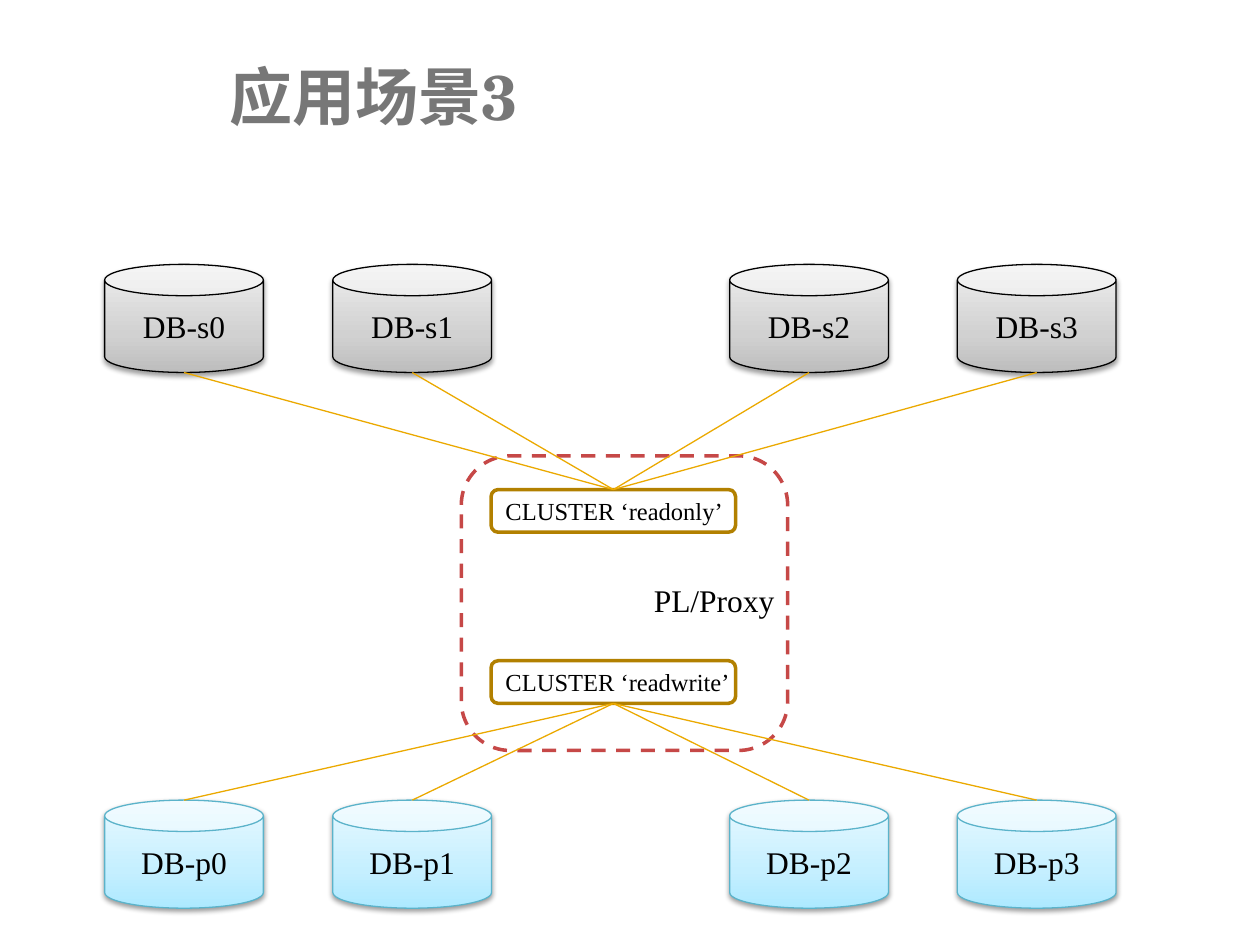
from dataclasses import dataclass

from lxml import etree
from pptx import Presentation
from pptx.dml.color import RGBColor
from pptx.enum.dml import MSO_LINE
from pptx.enum.shapes import MSO_CONNECTOR, MSO_SHAPE
from pptx.enum.text import MSO_ANCHOR, PP_ALIGN
from pptx.oxml import parse_xml
from pptx.oxml.ns import nsdecls, qn
from pptx.util import Cm, Pt

CAN = MSO_SHAPE.CAN
ROUND = MSO_SHAPE.ROUNDED_RECTANGLE
STRAIGHT = MSO_CONNECTOR.STRAIGHT
DASH = MSO_LINE.DASH
MIDDLE = MSO_ANCHOR.MIDDLE
TOP = MSO_ANCHOR.TOP
LEFT = PP_ALIGN.LEFT
CENTER = PP_ALIGN.CENTER


@dataclass(frozen=True)
class Theme:
    head: str = "TeX Gyre Schola"
    body: str = "Times New Roman"
    title: float = 36
    label: float = 18
    small: float = 14
    thin: float = 0.75
    thick: float = 2
    gray: str = "777777"
    ink: str = "000000"
    white: str = "FFFFFF"
    red: str = "C64847"
    gold: str = "B28000"
    link: str = "EBA900"
    teal: str = "5BB3CA"
    blues: tuple[str, ...] = ("ADE9FF", "C5EFFF", "E9F9FF")
    grays: tuple[str, ...] = ("BDBDBD", "D1D1D1", "EEEEEE")


@dataclass(frozen=True)
class Box:
    x: float
    y: float
    w: float
    h: float

    @property
    def mid(self) -> float:
        return self.x + self.w / 2

    @property
    def base(self) -> float:
        return self.y + self.h

    def place(self) -> tuple:
        return Cm(self.x), Cm(self.y), Cm(self.w), Cm(self.h)


@dataclass(frozen=True)
class Row:
    name: str
    y: float
    tones: tuple[str, ...]
    edge: str
    hub: Box
    above: bool


THEME = Theme()
CAN_W, CAN_H = 3.2, 2.18
CAN_XS = (2.11, 6.71, 14.71, 19.3)
READ = Box(9.9, 9.87, 4.93, 0.86)
WRITE = Box(9.9, 13.32, 4.93, 0.86)
ROWS = (
    Row("DB-s", 5.33, THEME.grays, THEME.ink, READ, True),
    Row("DB-p", 16.13, THEME.blues, THEME.teal, WRITE, False),
)


def write(shape, text: str, size: float, align=LEFT, anchor=MIDDLE,
          face: str = THEME.body, color: str = THEME.ink,
          bold: bool = False, wrap: bool = True) -> None:
    frame = shape.text_frame
    frame.word_wrap = wrap
    frame.vertical_anchor = anchor
    para = frame.paragraphs[0]
    para.text = text
    para.alignment = align
    font = para.font
    font.name, font.size, font.bold = face, Pt(size), bold
    font.color.rgb = RGBColor.from_string(color)


def stroke(line, color: str, width: float) -> None:
    line.color.rgb = RGBColor.from_string(color)
    line.width = Pt(width)


def panel(slide, kind, box: Box, color: str, width: float):
    shape = slide.shapes.add_shape(kind, *box.place())
    shape.shadow.inherit = False
    shape.fill.background()
    stroke(shape.line, color, width)
    return shape


def shade(shape, tones: tuple[str, ...]) -> None:
    stops = "".join(
        f'<a:gs pos="{pos}"><a:srgbClr val="{tone}"/></a:gs>'
        for pos, tone in zip((0, 35000, 100000), tones))
    props = shape._element.spPr
    blank = props.find(qn("a:noFill"))
    props.replace(blank, parse_xml(
        f'<a:gradFill {nsdecls("a")} rotWithShape="1"><a:gsLst>{stops}</a:gsLst>'
        '<a:lin ang="16200000" scaled="0"/></a:gradFill>'))
    props.find(qn("a:effectLst")).append(parse_xml(
        f'<a:outerShdw {nsdecls("a")} blurRad="{Pt(3.1)}" dist="{Pt(1.6)}" '
        f'dir="5400000" rotWithShape="0"><a:srgbClr val="{THEME.ink}">'
        '<a:alpha val="38000"/></a:srgbClr></a:outerShdw>'))


def draw_can(slide, row: Row, box: Box, text: str) -> None:
    can = panel(slide, CAN, box, row.edge, THEME.thin)
    can.adjustments[0] = 0.29
    shade(can, row.tones)
    write(can, text, THEME.label, CENTER)


def draw_hub(slide, box: Box, text: str) -> None:
    hub = panel(slide, ROUND, box, THEME.gold, THEME.thick)
    hub.text_frame.margin_right = 0
    write(hub, text, THEME.small)


def draw_link(slide, upper: Box, lower: Box) -> None:
    link = slide.shapes.add_connector(
        STRAIGHT, Cm(upper.mid), Cm(upper.base), Cm(lower.mid), Cm(lower.y))
    stroke(link.line, THEME.link, THEME.thin)
    etree.SubElement(link._element.spPr, qn("a:effectLst"))


def main() -> None:
    deck = Presentation()
    deck.slide_width, deck.slide_height = Cm(25.4), Cm(19.05)
    slide = deck.slides.add_slide(deck.slide_layouts[6])

    proxy = panel(slide, ROUND, Box(9.3, 9.19, 6.58, 5.94), THEME.red, THEME.thick)
    proxy.fill.solid()
    proxy.fill.fore_color.rgb = RGBColor.from_string(THEME.white)
    proxy.line.dash_style = DASH

    title = slide.shapes.add_textbox(*Box(4.37, 1.02, 19.76, 1.8).place())
    write(title, "应用场景3", THEME.title, face=THEME.head,
          color=THEME.gray, bold=True)

    draw_hub(slide, READ, "CLUSTER ‘readonly’")
    draw_hub(slide, WRITE, "CLUSTER ‘readwrite’")

    for row in ROWS:
        for num, x in enumerate(CAN_XS):
            box = Box(x, row.y, CAN_W, CAN_H)
            draw_can(slide, row, box, f"{row.name}{num}")
            ends = (box, row.hub) if row.above else (row.hub, box)
            draw_link(slide, *ends)

    label = slide.shapes.add_textbox(*Box(12.93, 11.58, 2.97, 1.02).place())
    write(label, "PL/Proxy", THEME.label, anchor=TOP, wrap=False)

    deck.save("out.pptx")


if __name__ == "__main__":
    main()
